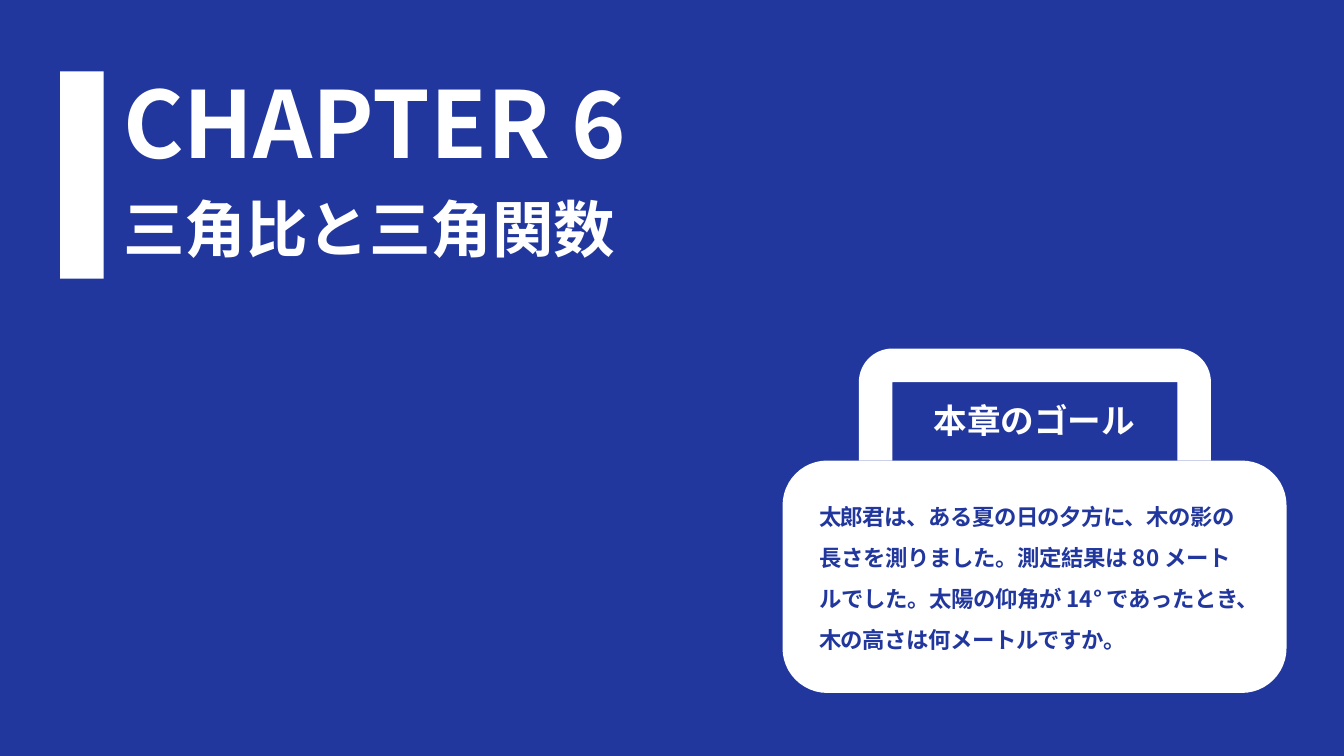
"""Build the chapter 6 opening slide with its goal bag."""
from dataclasses import dataclass
from math import cos, radians, sin

from lxml.etree import SubElement
from pptx import Presentation
from pptx.dml.color import RGBColor
from pptx.enum.shapes import MSO_SHAPE
from pptx.oxml.ns import qn
from pptx.util import Pt

COLORS = {"blue": "21379E", "white": "FFFFFF"}
FONT = "Noto Sans CJK JP"


@dataclass
class Span:
    text: str
    spacing: float = 0


@dataclass
class Line:
    spans: list[Span]
    size: float
    height: float
    before: float = 0


@dataclass
class Label:
    left: float
    top: float
    width: float
    height: float
    color: str
    lines: list[Line]


@dataclass
class Block:
    left: float
    top: float
    width: float
    height: float
    radius: float = 0


ACCENT_BAR = Block(43, 51, 31, 148)
BAG = Block(559, 329, 360, 166, 32)
HANDLE = Block(613.5, 249, 251.5, 80, 24)

LABELS = [
    Label(88, 44.6, 396, 144, "white", [
        Line([Span("CHAPTER "), Span("6", -0.5)], 66, 82),
        Line([Span("三角比と三角関数", -0.1)], 44, 51, 11.5),
    ]),
    Label(667, 285.8, 145, 31, "white", [
        Line([Span("本章のゴール", -0.1)], 24, 29),
    ]),
    Label(585, 350, 306, 117, "blue", [
        Line([
            Span("太郎君は、ある夏の日の夕方に、木の影の", -0.3),
            Span("長さを測りました。測定結果は ", -0.2),
            Span("80"),
            Span(" メート", -0.1),
        ], 16, 28.8),
        Line([
            Span("ルでした。太陽の仰角が ", -0.2),
            Span("14"),
            Span("° であったとき、木の高さは何メートルですか。", -0.3),
        ], 16, 28.8, 1),
    ]),
]


def paint_white(shape) -> None:
    shape.shadow.inherit = False
    shape.fill.solid()
    shape.fill.fore_color.rgb = RGBColor.from_string(COLORS["white"])
    shape.line.fill.background()


def draw_block(page, block: Block) -> None:
    kind = MSO_SHAPE.ROUNDED_RECTANGLE if block.radius else MSO_SHAPE.RECTANGLE
    shape = page.shapes.add_shape(
        kind, Pt(block.left), Pt(block.top), Pt(block.width), Pt(block.height))
    if block.radius:
        shape.adjustments[0] = block.radius / min(block.width, block.height)
    paint_white(shape)


def corner(center_x: float, center_y: float, radius: float, start: int) -> list[tuple[float, float]]:
    return [(center_x + radius * cos(radians(angle)), center_y + radius * sin(radians(angle)))
            for angle in range(start, start + 91, 6)]


def draw_handle(page, handle: Block) -> None:
    thickness = handle.radius
    right, bottom = handle.left + handle.width, handle.top + handle.height
    inner_left, inner_right = handle.left + thickness, right - thickness
    inner_top = handle.top + thickness
    outline = [
        (handle.left, bottom),
        *corner(inner_left, inner_top, thickness, 180),
        *corner(inner_right, inner_top, thickness, 270),
        (right, bottom), (inner_right, bottom), (inner_right, inner_top),
        (inner_left, inner_top), (inner_left, bottom),
    ]
    points = [(Pt(x), Pt(y)) for x, y in outline]
    builder = page.shapes.build_freeform(*points[0])
    builder.add_line_segments(points[1:], close=True)
    paint_white(builder.convert_to_shape())


def write_span(para, span: Span, size: float, color: str) -> None:
    run = para.add_run()
    run.text = span.text
    run.font.size = Pt(size)
    run.font.bold = True
    run.font.name = FONT
    run.font.color.rgb = RGBColor.from_string(COLORS[color])
    properties = run._r.get_or_add_rPr()
    properties.set("spc", str(round(span.spacing * 100)))
    SubElement(properties, qn("a:ea")).set("typeface", FONT)


def write_label(page, label: Label) -> None:
    box = page.shapes.add_textbox(
        Pt(label.left), Pt(label.top), Pt(label.width), Pt(label.height))
    frame = box.text_frame
    frame.word_wrap = True
    frame.margin_left = frame.margin_right = frame.margin_top = frame.margin_bottom = 0
    for index, line in enumerate(label.lines):
        para = frame.add_paragraph() if index else frame.paragraphs[0]
        para.line_spacing = Pt(line.height)
        para.space_before = Pt(line.before)
        for span in line.spans:
            write_span(para, span, line.size, label.color)


def main() -> None:
    deck = Presentation()
    deck.slide_width, deck.slide_height = Pt(960), Pt(540)
    page = deck.slides.add_slide(deck.slide_layouts[6])
    page.background.fill.solid()
    page.background.fill.fore_color.rgb = RGBColor.from_string(COLORS["blue"])
    for block in (ACCENT_BAR, BAG):
        draw_block(page, block)
    draw_handle(page, HANDLE)
    for label in LABELS:
        write_label(page, label)
    deck.save("out.pptx")


if __name__ == "__main__":
    main()
